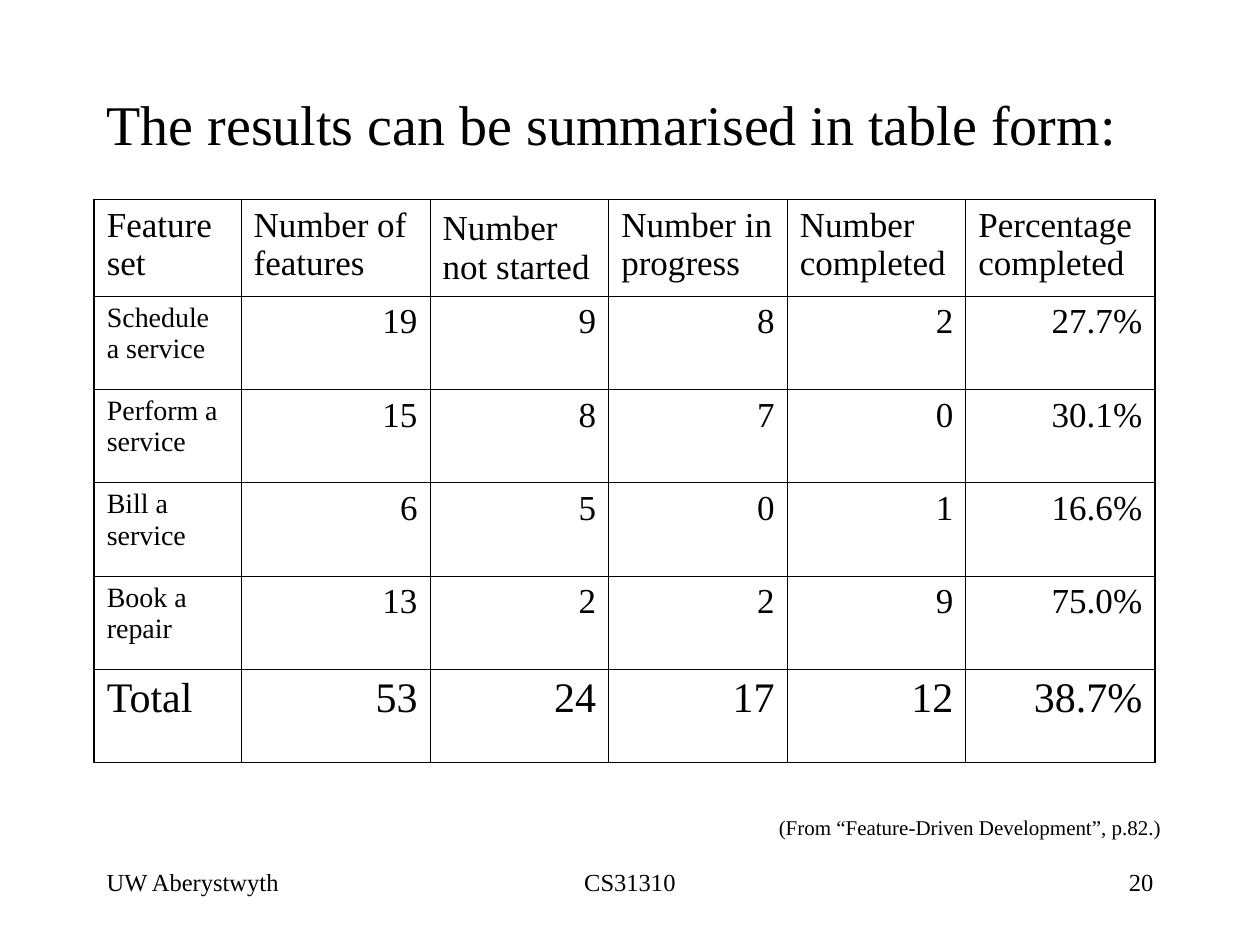
import pptx
import pptx.util
import pptx.dml.color
import pptx.enum.text
import pptx.oxml
import pptx.oxml.ns

Cm = pptx.util.Cm
Pt = pptx.util.Pt
ALIGN = pptx.enum.text.PP_ALIGN
ANCHOR = pptx.enum.text.MSO_ANCHOR
FONT = "Times New Roman"
INK = "000000"
THIN, THICK = 0.45, 1.08

WIDTHS = [2.96, 3.81, 3.6, 3.6, 3.6, 3.81]
HEIGHTS = [1.95] + [1.88] * 5
ROWS = [
    ["Feature set", "Number of features", "Number not started",
     "Number in progress", "Number completed", "Percentage completed"],
    ["Schedule a service", "19", "9", "8", "2", "27.7%"],
    ["Perform a service", "15", "8", "7", "0", "30.1%"],
    ["Bill a service", "6", "5", "0", "1", "16.6%"],
    ["Book a repair", "13", "2", "2", "9", "75.0%"],
    ["Total", "53", "24", "17", "12", "38.7%"],
]


def color(code):
    return pptx.dml.color.RGBColor.from_string(code)


def write(frame, text, size=20, align=ALIGN.LEFT, hang=0):
    frame.word_wrap = True
    para = frame.paragraphs[0]
    para.alignment = align
    if hang:
        props = para._p.get_or_add_pPr()
        props.set("marL", str(Cm(hang)))
        props.set("indent", str(-Cm(hang)))
    run = para.add_run()
    run.text = text
    run.font.name = FONT
    run.font.size = Pt(size)
    run.font.color.rgb = color(INK)


def label(slide, box, text, **form):
    shape = slide.shapes.add_textbox(*map(Cm, box))
    write(shape.text_frame, text, **form)


def border(cell, sides):
    props = cell._tc.get_or_add_tcPr()
    for place, (side, width) in enumerate(sides.items()):
        line = pptx.oxml.parse_xml(
            f'<a:ln{side} {pptx.oxml.ns.nsdecls("a")} w="{int(Pt(width))}">'
            f'<a:solidFill><a:srgbClr val="{INK}"/></a:solidFill></a:ln{side}>')
        props.insert(place, line)


def grid(slide, box):
    rows, cols = len(ROWS), len(WIDTHS)
    table = slide.shapes.add_table(rows, cols, *map(Cm, box)).table
    table.first_row = False
    table.horz_banding = False
    for col, width in zip(table.columns, WIDTHS):
        col.width = Cm(width)
    for row, height in zip(table.rows, HEIGHTS):
        row.height = Cm(height)
    for r, texts in enumerate(ROWS):
        for c, text in enumerate(texts):
            cell = table.cell(r, c)
            cell.fill.background()
            edges = {"L": c == 0, "R": c == cols - 1,
                     "T": r == 0, "B": r == rows - 1}
            border(cell, {side: THICK if outer else THIN
                          for side, outer in edges.items()})
            if r == rows - 1:
                size = 24
            else:
                size = 16 if r and c == 0 else 20
            align = ALIGN.RIGHT if r and c else ALIGN.LEFT
            write(cell.text_frame, text, size=size, align=align)
    table.cell(0, 2).vertical_anchor = ANCHOR.MIDDLE


def footer(slide, box):
    left, top, width, height = box
    side, mid = 5.29, 8.04
    parts = [
        ("UW Aberystwyth", left, side, ALIGN.LEFT),
        ("CS31310", left + (width - mid) / 2, mid, ALIGN.CENTER),
        ("20", left + width - side, side, ALIGN.RIGHT),
    ]
    for text, start, span, align in parts:
        label(slide, (start, top, span, height), text, size=14, align=align)


def main():
    deck = pptx.Presentation()
    deck.slide_width, deck.slide_height = Cm(25.4), Cm(19.05)
    slide = deck.slides.add_slide(deck.slide_layouts[6])
    footer(slide, (1.9, 17.36, 21.6, 1.27))
    label(slide, (1.9, 1.69, 21.6, 15.24),
          "The results can be summarised in table form:", size=32, hang=0.95)
    grid(slide, (1.9, 4.02, sum(WIDTHS), sum(HEIGHTS)))
    label(slide, (15.45, 16.3, 8.68, 0.77),
          "(From “Feature-Driven Development”, p.82.)", size=12)
    deck.save("out.pptx")


if __name__ == "__main__":
    main()
